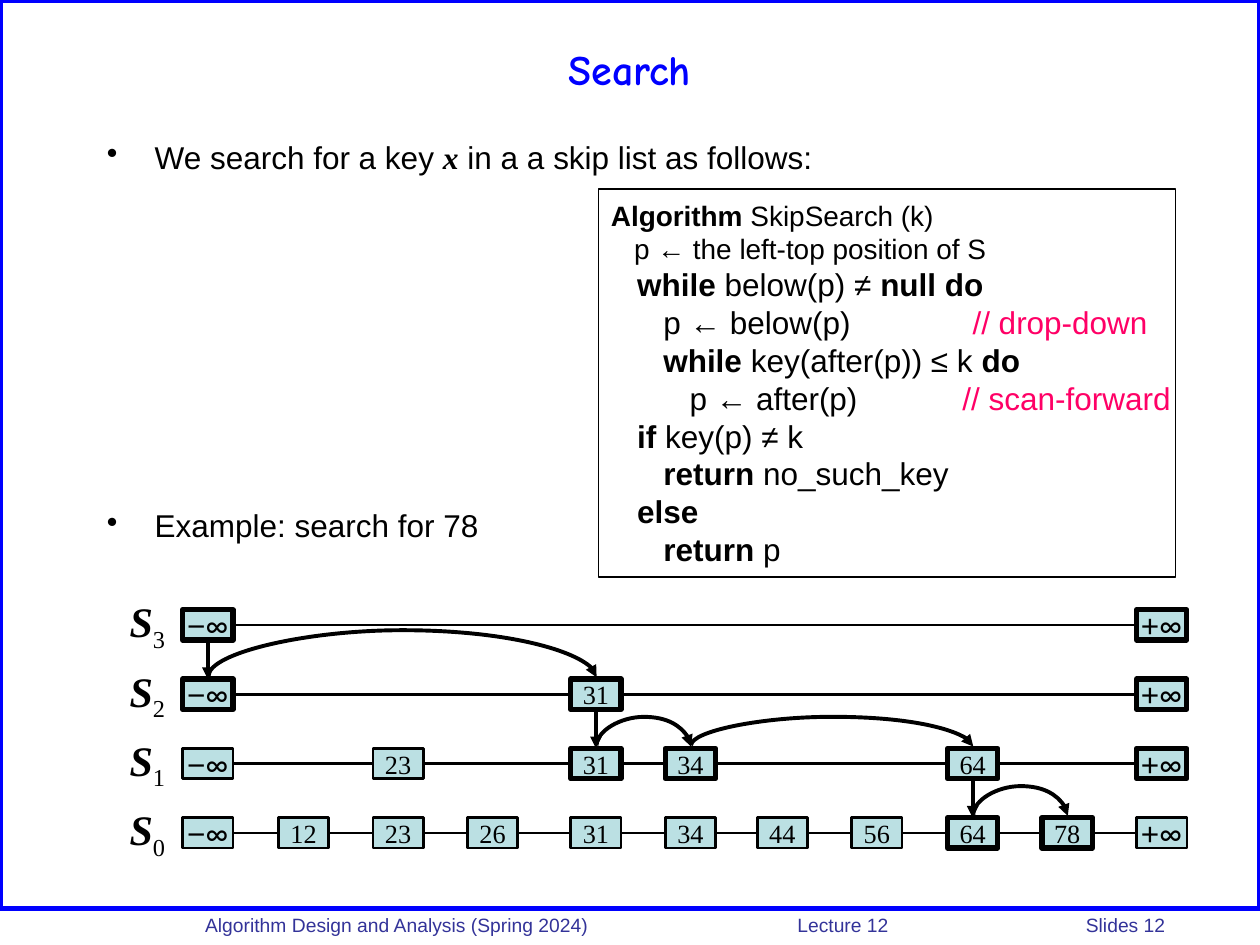
from dataclasses import dataclass
from itertools import pairwise
from lxml.etree import SubElement
from pptx import Presentation
from pptx.dml.color import RGBColor
from pptx.enum.shapes import MSO_CONNECTOR, MSO_SHAPE
from pptx.enum.text import MSO_ANCHOR, PP_ALIGN
from pptx.oxml.ns import qn
from pptx.util import Inches, Pt

BLACK, BLUE, NAVY, PINK = "000000", "0000FF", "333399", "FF0066"
SERIF = "Times New Roman"
COLS = {"−∞": 1.45, "12": 2.21, "23": 2.96, "26": 3.71, "31": 4.53, "34": 5.28,
        "44": 6.01, "56": 6.76, "64": 7.52, "78": 8.27, "+∞": 9.02}
LISTS = {
    3: (["−∞", "+∞"], ["−∞", "+∞"]),
    2: (["−∞", "31", "+∞"], ["−∞", "31", "+∞"]),
    1: (["−∞", "23", "31", "34", "64", "+∞"], ["31", "34", "64", "+∞"]),
    0: (list(COLS), ["64", "78"]),
}
DROPS = [("−∞", 3), ("31", 2), ("64", 1)]
SCANS = [("−∞", "31", 2, 0.37), ("31", "34", 1, 0.23),
         ("34", "64", 1, 0.23), ("64", "78", 0, 0.23)]
CODE = [
    (16, None, [("Algorithm", True), (" SkipSearch (k)", False)]),
    (16, None, [("   p ← the left-top position of S", False)]),
    (18, None, [("   while", True), (" below(p) ≠ ", False), ("null do", True)]),
    (18, 2.87, [("      p ← below(p)\t", False), ("// drop-down", False, PINK)]),
    (18, None, [("      while", True), (" key(after(p)) ≤ k ", False), ("do", True)]),
    (18, 2.79, [("         p ← after(p)\t", False), ("// scan-forward", False, PINK)]),
    (18, None, [("   if", True), (" key(p) ≠ k", False)]),
    (18, None, [("      return", True), (" no_such_key", False)]),
    (18, None, [("   else", True)]),
    (18, None, [("      return", True), (" p", False)]),
]


def color(code):
    return RGBColor.from_string(code)


def level(base, num):
    return base - 0.55 * num


@dataclass
class Deck:
    slide: object
    face: str = "Arial"
    fill: str = "BBE0E3"

    def style(self, run, size, bold=False, tint=BLACK, face=None, slant=False):
        font = run.font
        font.size, font.bold, font.italic = Pt(size), bold, slant
        font.name = face or self.face
        font.color.rgb = color(tint)

    def add(self, par, text, size, **look):
        run = par.add_run()
        run.text = text
        self.style(run, size, **look)
        return run

    def title(self, text, left, top, wide, high):
        head = self.slide.shapes.title
        head.left, head.top = Inches(left), Inches(top)
        head.width, head.height = Inches(wide), Inches(high)
        frame = head.text_frame
        frame.text = text
        frame.vertical_anchor = MSO_ANCHOR.MIDDLE
        par = frame.paragraphs[0]
        par.alignment = PP_ALIGN.CENTER
        self.style(par.runs[0], 24, True, BLUE, "Comic Neue")

    def text(self, left, top, wide, high, wrap=True):
        box = self.slide.shapes.add_textbox(
            Inches(left), Inches(top), Inches(wide), Inches(high))
        box.text_frame.word_wrap = wrap
        return box.text_frame

    def rect(self, left, top, wide, high, line, edge=BLACK, fill=None):
        box = self.slide.shapes.add_shape(
            MSO_SHAPE.RECTANGLE, Inches(left), Inches(top), Inches(wide), Inches(high))
        box.shadow.inherit = False
        if fill:
            box.fill.solid()
            box.fill.fore_color.rgb = color(fill)
        else:
            box.fill.background()
        box.line.color.rgb = color(edge)
        box.line.width = Pt(line)
        box.text_frame.vertical_anchor = MSO_ANCHOR.MIDDLE
        return box

    def node(self, key, num, thick):
        box = self.rect(COLS[key], level(6.49, num), 0.4, 0.24,
                        3 if thick else 1.5, fill=self.fill)
        box.text_frame.word_wrap = False
        par = box.text_frame.paragraphs[0]
        par.alignment = PP_ALIGN.CENTER
        if key.isdigit():
            self.add(par, key, 15, face=SERIF)
        else:
            self.add(par, key[0], 18)
            self.add(par, key[1], 18, face="Lato")
        return box

    def label(self, num):
        par = self.text(0.92, level(6.33, num), 0.5, 0.5, False).paragraphs[0]
        par.alignment = PP_ALIGN.CENTER
        self.add(par, "S", 24, bold=True, face=SERIF, slant=True)
        sub = self.add(par, str(num), 24, face=SERIF)
        sub.font._element.set("baseline", "-25000")

    def wire(self, kind, ends, width, arrow):
        line = self.slide.shapes.add_connector(kind, *map(Inches, ends))
        line.line.color.rgb = color(BLACK)
        line.line.width = Pt(width)
        if arrow:
            SubElement(line.line._get_or_add_ln(), qn("a:tailEnd"), type="triangle")
        SubElement(line._element.spPr, qn("a:effectLst"))
        return line

    def link(self, first, last, sides, width, arrow=False):
        line = self.wire(MSO_CONNECTOR.STRAIGHT, (0, 0, 0, 0), width, arrow)
        line.begin_connect(first, sides[0])
        line.end_connect(last, sides[1])

    def arc(self, left, right, top, rise):
        mid, half, thin = (left + right) / 2, (right - left) / 2, 0.01
        line = self.wire(MSO_CONNECTOR.CURVE,
                         (mid, top - half, mid + thin, top + half), 2.25, True)
        shape = line._element.spPr
        shape.xfrm.set("rot", "5400000")
        shape.xfrm.set("flipV", "1")
        guide = shape.find(qn("a:prstGeom")).find(qn("a:avLst"))
        SubElement(guide, qn("a:gd"), name="adj1",
                   fmla=f"val {round(-rise / thin * 100000)}")

    def bullet(self, par):
        props = par._p.get_or_add_pPr()
        props.set("marL", str(Inches(0.38)))
        props.set("indent", str(-Inches(0.38)))
        par.line_spacing = 0.9
        SubElement(props, qn("a:buChar"), char="•")

    def tabs(self, par, *stops):
        group = SubElement(par._p.get_or_add_pPr(), qn("a:tabLst"))
        for stop in stops:
            SubElement(group, qn("a:tab"), pos=str(Inches(stop)), algn="l")


def main():
    deck = Presentation()
    deck.slide_width, deck.slide_height = Inches(10), Inches(7.5)
    page = Deck(deck.slides.add_slide(deck.slide_layouts[5]))
    page.rect(0, 0, 10, 7.21, 3, BLUE)
    page.title("Search", 0.5, 0.17, 9, 0.75)

    foot = page.text(1.53, 7.2, 8.47, 0.26).paragraphs[0]
    page.tabs(foot, 4.7, 6.99)
    page.add(foot, "Algorithm Design and Analysis (Spring 2024)\tLecture 12\tSlides 12",
             11, tint=NAVY)

    body = page.text(0.75, 1.08, 7.83, 3.42)
    intro, case = body.paragraphs[0], body.add_paragraph()
    for par in (intro, case):
        page.bullet(par)
    page.add(intro, "We search for a key ", 18)
    page.add(intro, "x", 18, bold=True, face=SERIF, slant=True)
    page.add(intro, " in a a skip list as follows:", 18)
    case.space_before = Pt(191)
    page.add(case, "Example: search for 78", 18)

    nodes = {}
    for num, (keys, path) in LISTS.items():
        page.label(num)
        for key in keys:
            nodes[key, num] = page.node(key, num, key in path)
        for first, last in pairwise(keys):
            page.link(nodes[first, num], nodes[last, num], (3, 1), 1.5)
    for key, num in DROPS:
        page.link(nodes[key, num], nodes[key, num - 1], (2, 0), 2.25, True)
    for first, last, num, rise in SCANS:
        page.arc(COLS[first] + 0.2, COLS[last] + 0.2, level(6.47, num), rise)

    frame = page.rect(4.75, 1.5, 4.58, 3.08, 1, fill="FFFFFF").text_frame
    frame.word_wrap = True
    frame.margin_right = Inches(0)
    for row, (size, stop, parts) in enumerate(CODE):
        par = frame.add_paragraph() if row else frame.paragraphs[0]
        par.alignment = PP_ALIGN.LEFT
        if stop:
            page.tabs(par, stop)
        for text, bold, *tint in parts:
            page.add(par, text, size, bold=bold, tint=tint[0] if tint else BLACK)
    deck.save("out.pptx")


if __name__ == "__main__":
    main()
